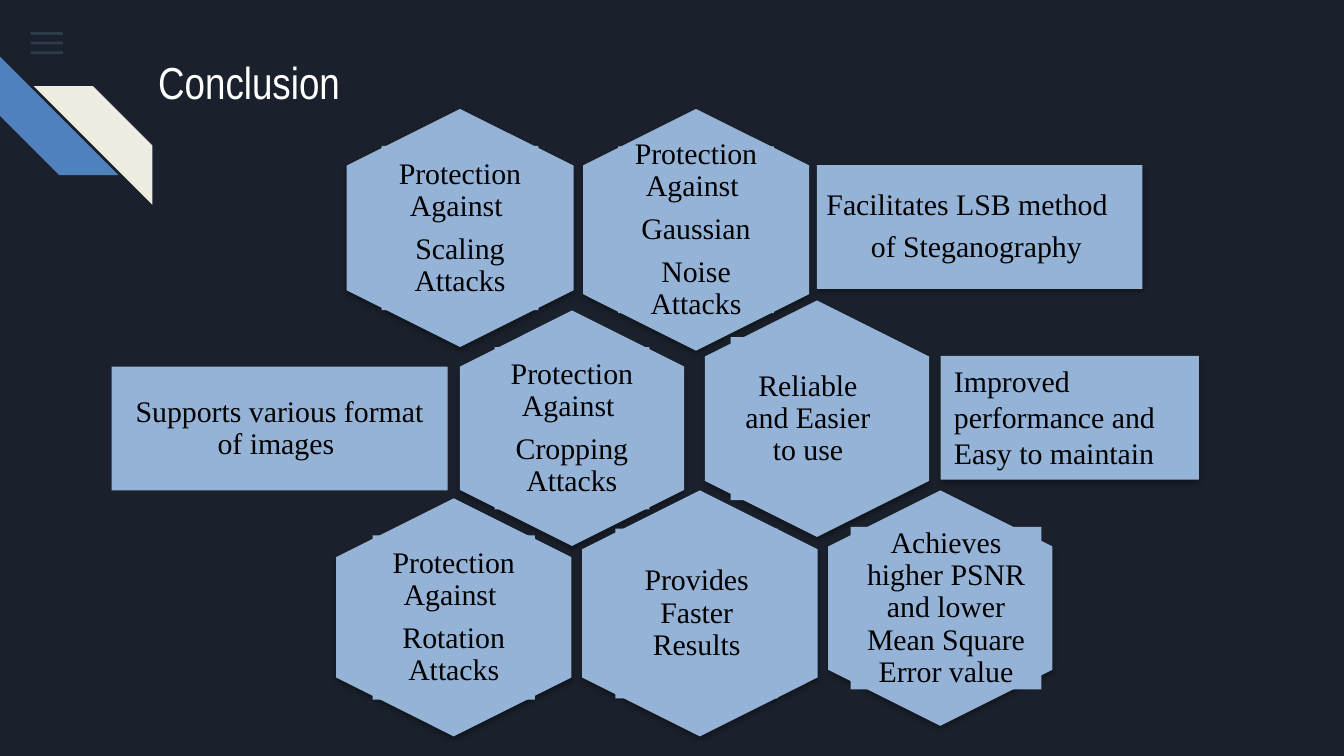
from dataclasses import dataclass

from lxml import etree
from pptx import Presentation
from pptx import util as u
from pptx.dml.color import RGBColor
from pptx.enum import shapes, text
from pptx.oxml.ns import qn

Cm, Pt = u.Cm, u.Pt
MSO, PP = shapes.MSO_SHAPE, text.PP_ALIGN


@dataclass(frozen=True)
class Theme:
    background: str = "1B212C"
    menu: str = "55688B"
    blue: str = "4F81BD"
    cream: str = "EEECE1"
    cell: str = "95B3D7"
    ink: str = "000000"
    title_ink: str = "FFFFFF"
    title_font: str = "Arial Narrow"
    body_font: str = "Times New Roman"
    title_size: int = 24
    body_size: int = 16


THEME = Theme()


def add_alpha(color, percent):
    etree.SubElement(color, qn("a:alpha"), val=str(percent * 1000))


def add_block(parent, kind, box, color):
    """Flat shape without outline; box is left, top, width, height in cm."""
    s = parent.add_shape(kind, *(Cm(v) for v in box))
    s.shadow.inherit = False
    s.fill.solid()
    s.fill.fore_color.rgb = RGBColor.from_string(color)
    s.line.fill.background()
    return s


def add_shadow(s):
    effects = s._element.spPr.find(qn("a:effectLst"))
    shadow = etree.SubElement(effects, qn("a:outerShdw"), blurRad=str(Pt(3.1)),
                              dist=str(Pt(1.8)), dir="5400000", rotWithShape="0")
    add_alpha(etree.SubElement(shadow, qn("a:srgbClr"), val=THEME.ink), 35)


def style_runs(p, font, size, color):
    for r in p.runs:
        r.font.name, r.font.size = font, Pt(size)
        r.font.color.rgb = RGBColor.from_string(color)


def write(s, lines, inset=0.18, align=PP.CENTER):
    """Body text, centred vertically, with tight lines."""
    tf = s.text_frame
    tf.word_wrap = True
    tf.vertical_anchor = text.MSO_ANCHOR.MIDDLE
    tf.margin_left = tf.margin_right = tf.margin_top = tf.margin_bottom = Cm(inset)
    tf.text = "\n".join(lines)
    for p in tf.paragraphs:
        p.alignment, p.line_spacing, p.space_after = align, 0.9, Pt(5.6)
        style_runs(p, THEME.body_font, THEME.body_size, THEME.ink)
    return tf


def add_corner(parent, left, top):
    """Menu lines and the two diagonal stripes."""
    for i in range(3):
        bar = add_block(parent, MSO.RECTANGLE,
                        (left + 0.58, top + 0.61 + i * 0.18, 0.61, 0.05), THEME.menu)
        add_alpha(bar._element.spPr.find(qn("a:solidFill"))[0], 36)
    side = 2.24
    stripe = add_block(parent, MSO.DIAGONAL_STRIPE, (left, top + 1.07, side, side), THEME.blue)
    stripe.rotation = 270
    stripe = add_block(parent, MSO.DIAGONAL_STRIPE,
                       (left + 0.64, top + 1.63, side, side), THEME.cream)
    stripe._element.spPr.find(qn("a:xfrm")).set("flipH", "1")


def add_title(parent, box, title):
    tf = parent.add_textbox(*(Cm(v) for v in box)).text_frame
    tf.word_wrap = True
    tf.margin_left = tf.margin_right = tf.margin_top = tf.margin_bottom = Cm(0.25)
    tf.text = title
    style_runs(tf.paragraphs[0], THEME.title_font, THEME.title_size, THEME.title_ink)


def add_hexagon(parent, box, lines, inset=0.18, shift=0, label_width=0.69):
    """Upright hexagon with a label in its middle, shifted sideways if asked."""
    left, top, width, height = box
    cx, cy = left + width / 2, top + height / 2
    group = parent.add_group_shape().shapes
    # The preset lies on its side, so its box is swapped and turned
    hexagon = add_block(group, MSO.HEXAGON,
                        (cx - height / 2, cy - width / 2, height, width), THEME.cell)
    hexagon.adjustments[0] = 0.25
    hexagon.rotation = 90
    add_shadow(hexagon)
    w, h = width * label_width, height * 0.69
    label = add_block(group, MSO.RECTANGLE, (cx - w / 2 + shift, cy - h / 2, w, h), THEME.cell)
    write(label, lines, inset)


def add_support_box(parent, box):
    s = add_block(parent, MSO.RECTANGLE, box, THEME.cell)
    write(s, ["Supports various format of images "])


def add_method_box(parent, box):
    s = add_block(parent, MSO.RECTANGLE, box, THEME.cell)
    add_shadow(s)
    tf = write(s, ["Facilitates LSB method", "of Steganography"], align=PP.LEFT)
    tf.paragraphs[1]._p.get_or_add_pPr().set("marL", str(Cm(0.84)))


def add_performance_box(parent, box):
    s = add_block(parent, MSO.RECTANGLE, box, THEME.cell)
    add_shadow(s)
    tf = s.text_frame
    tf.word_wrap = True
    tf.vertical_anchor = text.MSO_ANCHOR.TOP
    tf.text = "Improved performance and Easy to maintain"
    tf.paragraphs[0].alignment = PP.LEFT
    style_runs(tf.paragraphs[0], THEME.body_font, THEME.body_size, THEME.ink)


def add_honeycomb(parent):
    against = "Protection Against "
    # Upper row
    add_hexagon(parent, (6.55, 2.06, 4.29, 4.5), [against, "Scaling Attacks"], inset=0)
    add_hexagon(parent, (11.02, 2.06, 4.27, 4.57),
                [against, "Gaussian", "Noise Attacks"], inset=0)
    add_method_box(parent, (15.44, 3.12, 6.15, 2.34))
    # Middle row
    add_support_box(parent, (2.11, 6.93, 6.35, 2.34))
    add_hexagon(parent, (8.69, 5.87, 4.24, 4.45), [against, "Cropping Attacks"])
    add_hexagon(parent, (13.32, 5.68, 4.24, 4.47), ["Reliable and Easier to use"], shift=-0.17)
    add_performance_box(parent, (17.78, 6.73, 4.88, 2.34))
    # Lower row
    add_hexagon(parent, (6.35, 9.42, 4.45, 4.5), [against, "Rotation Attacks"], inset=0)
    add_hexagon(parent, (11, 9.27, 4.45, 4.65), ["Provides Faster Results"], shift=-0.06)
    add_hexagon(parent, (15.65, 9.27, 4.24, 4.45),
                ["Achieves higher PSNR and lower Mean Square Error value"],
                shift=0.11, label_width=0.85)


def main():
    prs = Presentation()
    prs.slide_width, prs.slide_height = Cm(25.4), Cm(14.29)
    slide = prs.slides.add_slide(prs.slide_layouts[6])
    slide.background.fill.solid()
    slide.background.fill.fore_color.rgb = RGBColor.from_string(THEME.background)
    add_corner(slide.shapes, 0, 0)
    add_title(slide.shapes, (2.74, 0.79, 19.56, 2.54), "Conclusion")
    add_honeycomb(slide.shapes)
    prs.save("out.pptx")


if __name__ == "__main__":
    main()
